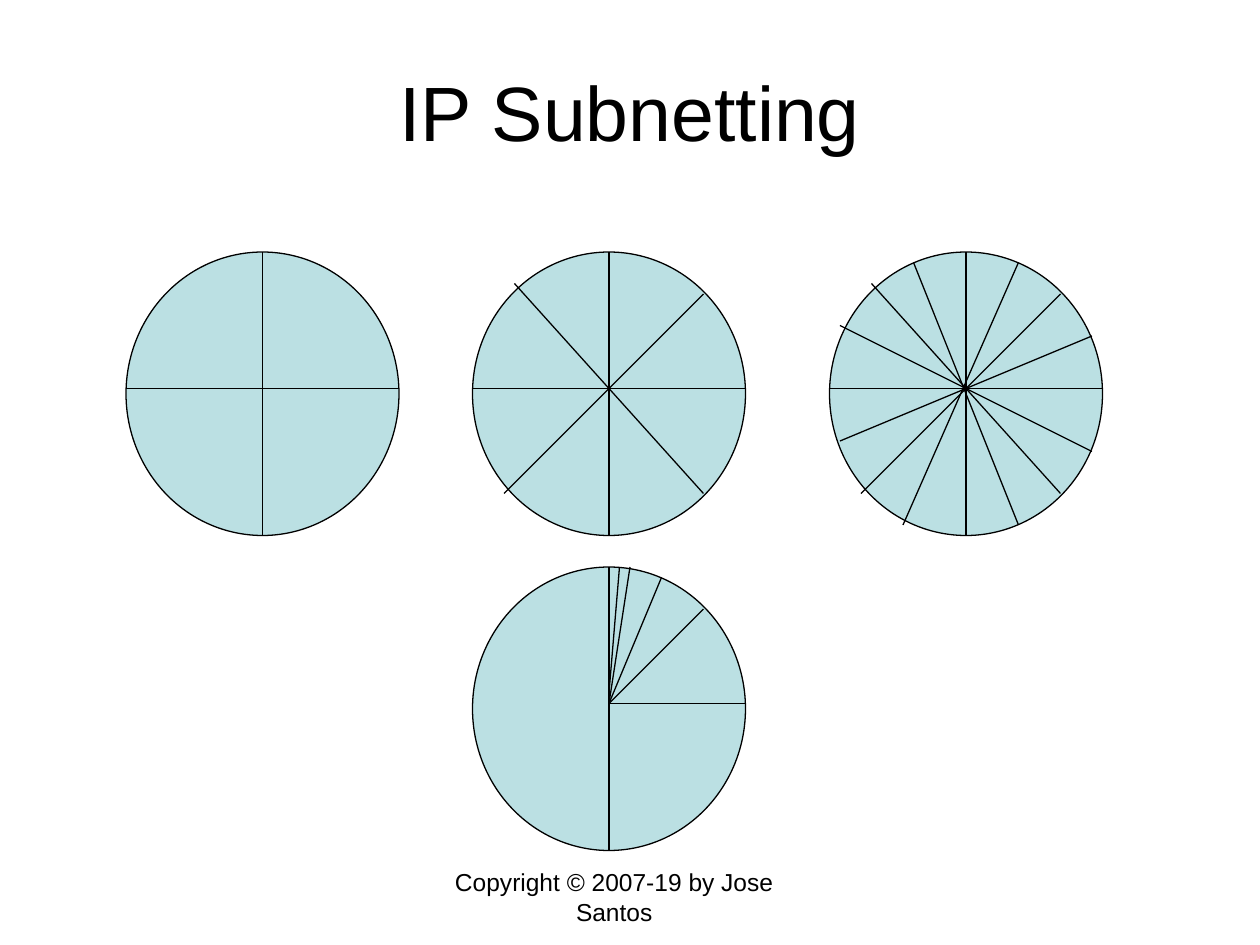
from lxml.etree import SubElement
from pptx import Presentation
from pptx.dml.color import RGBColor
from pptx.enum.shapes import MSO_CONNECTOR, MSO_SHAPE
from pptx.enum.text import MSO_ANCHOR, PP_ALIGN
from pptx.oxml.ns import qn
from pptx.util import Emu, Pt

WIDE, HIGH = 208, 216
MID = 104
BLACK, TEAL = "000000", "BBE0E3"

# Cuts run between two points, measured from the corner of the pie's box.
DOWN = (MID, 0, MID, HIGH)
QUARTERS = [DOWN, (0, MID, WIDE, MID)]
EIGHTHS = QUARTERS + [(176, 32, 24, 184), (32, 24, 176, 184)]
SIXTEENTHS = EIGHTHS + [
    (144, 8, 56, 208), (64, 8, 144, 208),
    (200, 64, 8, 144), (8, 56, 200, 152),
]
UNEVEN = [
    DOWN, (MID, MID, WIDE, MID), (MID, MID, 176, 32),
    (144, 8, MID, MID), (120, 0, MID, MID), (112, 0, MID, 96),
]


def px(num):
    return Emu(num * 9525)


def paint(color, code):
    color.rgb = RGBColor.from_string(code)


def stroke(line):
    line.width = Pt(0.75)
    paint(line.color, BLACK)


def write(frame, text, size):
    frame.word_wrap = True
    para = frame.paragraphs[0]
    para.alignment = PP_ALIGN.CENTER
    run = para.add_run()
    run.text = text
    run.font.name = "Arial"
    run.font.size = Pt(size)
    paint(run.font.color, BLACK)


def add_title(slide, text):
    title = slide.shapes.title
    title.left, title.top = px(48), px(24)
    title.width, title.height = px(864), px(120)
    title.text_frame.vertical_anchor = MSO_ANCHOR.MIDDLE
    write(title.text_frame, text, 44)


def add_cut(shapes, x1, y1, x2, y2):
    line = shapes.add_connector(
        MSO_CONNECTOR.STRAIGHT, px(x1), px(y1), px(x2), px(y2))
    stroke(line.line)
    SubElement(line._element.spPr, qn("a:effectLst"))


def add_pie(shapes, left, top, cuts):
    """Draw a disc and the lines that split it into subnets."""
    disc = shapes.add_shape(
        MSO_SHAPE.OVAL, px(left), px(top), px(WIDE), px(HIGH))
    disc.shadow.inherit = False
    disc.fill.solid()
    paint(disc.fill.fore_color, TEAL)
    stroke(disc.line)
    for x1, y1, x2, y2 in cuts:
        add_cut(shapes, left + x1, top + y1, left + x2, top + y2)


def add_note(slide, text):
    box = slide.shapes.add_textbox(px(316), px(656), px(304), px(50))
    write(box.text_frame, text, 14)


def main():
    deck = Presentation()
    deck.slide_width, deck.slide_height = px(960), px(720)
    slide = deck.slides.add_slide(deck.slide_layouts[5])
    add_title(slide, "IP Subnetting")
    for left, cuts in ((96, QUARTERS), (360, EIGHTHS), (632, SIXTEENTHS)):
        add_pie(slide.shapes.add_group_shape().shapes, left, 192, cuts)
    add_pie(slide.shapes, 360, 432, UNEVEN)
    add_note(slide, "Copyright © 2007-19 by Jose Santos")
    deck.save("out.pptx")


if __name__ == "__main__":
    main()
